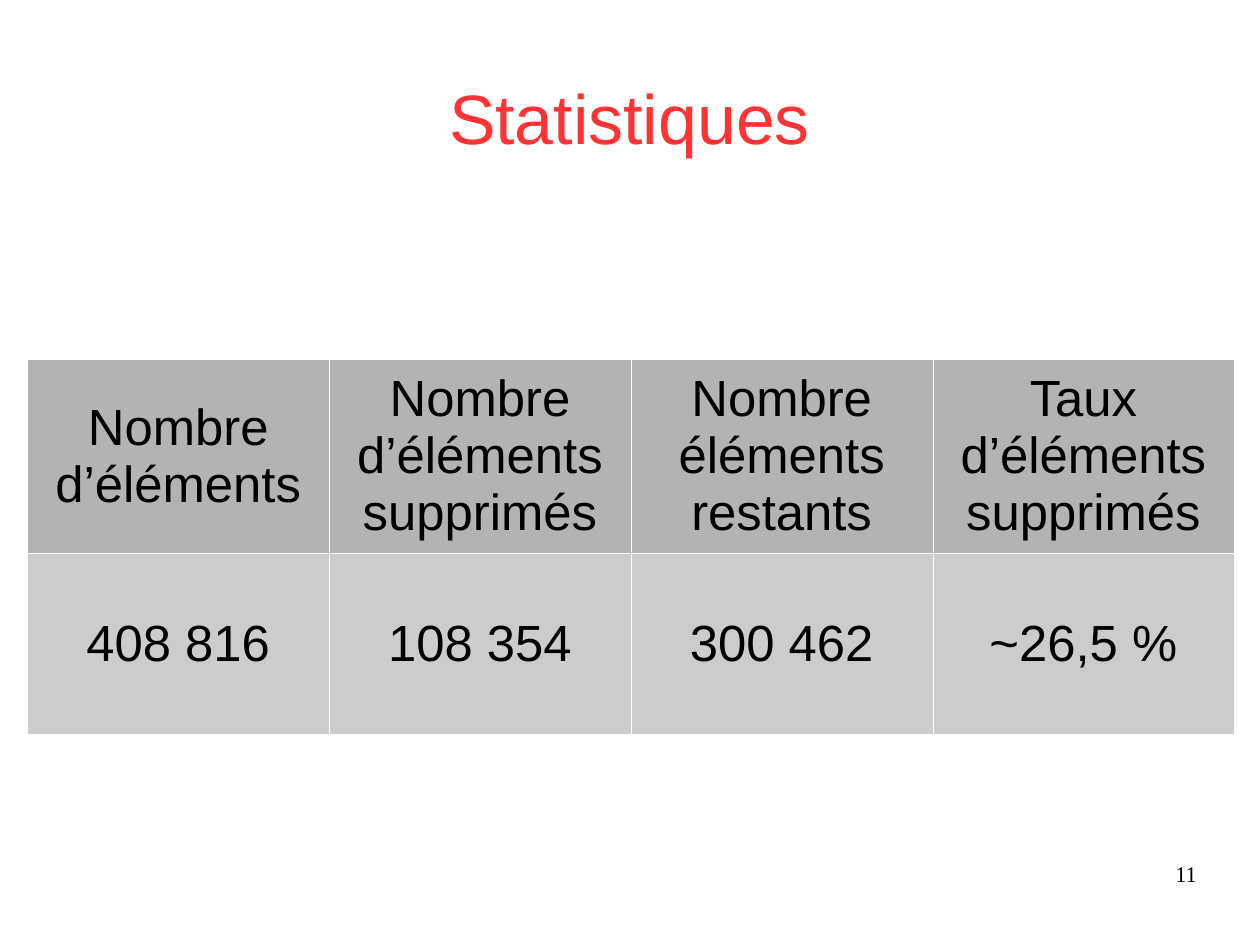
import pptx
import pptx.dml.color
import pptx.enum.text
import pptx.util
from lxml import etree
from pptx.oxml.ns import qn

Inches = pptx.util.Inches
ALIGN = pptx.enum.text.PP_ALIGN
ANCHOR = pptx.enum.text.MSO_ANCHOR


def color(hex_string):
    return pptx.dml.color.RGBColor.from_string(hex_string)


def write(text_frame, text, size, font_name, hex_string, alignment):
    text_frame.word_wrap = True
    paragraph = text_frame.paragraphs[0]
    paragraph.text = text
    paragraph.alignment = alignment
    paragraph.font.size = pptx.util.Pt(size)
    paragraph.font.name = font_name
    paragraph.font.color.rgb = color(hex_string)


# A page of 28 by 21 centimetres
presentation = pptx.Presentation()
presentation.slide_width = Inches(28 / 2.54)
presentation.slide_height = Inches(21 / 2.54)
slide = presentation.slides.add_slide(presentation.slide_layouts[6])

# Title and page number
for text, box, size, font_name, hex_string, alignment, anchor in [
    ("Statistiques", (0.55, 0.33, 9.92, 1.38), 44, "Arial", "FF3333", ALIGN.CENTER, ANCHOR.MIDDLE),
    ("11", (7.9, 7.53, 2.57, 0.57), 14, "Times New Roman", "000000", ALIGN.RIGHT, ANCHOR.TOP),
]:
    text_frame = slide.shapes.add_textbox(*map(Inches, box)).text_frame
    text_frame.margin_left = text_frame.margin_right = 0
    text_frame.margin_top = text_frame.margin_bottom = 0
    text_frame.vertical_anchor = anchor
    write(text_frame, text, size, font_name, hex_string, alignment)

# Statistics table
rows = [
    ("B3B3B3", ["Nombre d’éléments", "Nombre d’éléments supprimés",
                "Nombre éléments restants", "Taux d’éléments supprimés"]),
    ("CCCCCC", ["408 816", "108 354", "300 462", "~26,5 %"]),
]
table = slide.shapes.add_table(
    2, 4, Inches(0.24), Inches(3.14), Inches(10.55), Inches(3.16)).table
for column in table.columns:
    column.width = Inches(2.64)

for row_index, (fill, texts) in enumerate(rows):
    for column_index, text in enumerate(texts):
        cell = table.cell(row_index, column_index)
        cell.vertical_anchor = ANCHOR.MIDDLE
        write(cell.text_frame, text, 32, "Arial", "000000", ALIGN.CENTER)
        # Thin white borders, placed before the fill
        properties = cell._tc.get_or_add_tcPr()
        for side in ("a:lnL", "a:lnR", "a:lnT", "a:lnB"):
            line = etree.SubElement(properties, qn(side), w="720")
            solid = etree.SubElement(line, qn("a:solidFill"))
            etree.SubElement(solid, qn("a:srgbClr"), val="FFFFFF")
        cell.fill.solid()
        cell.fill.fore_color.rgb = color(fill)

presentation.save("out.pptx")
